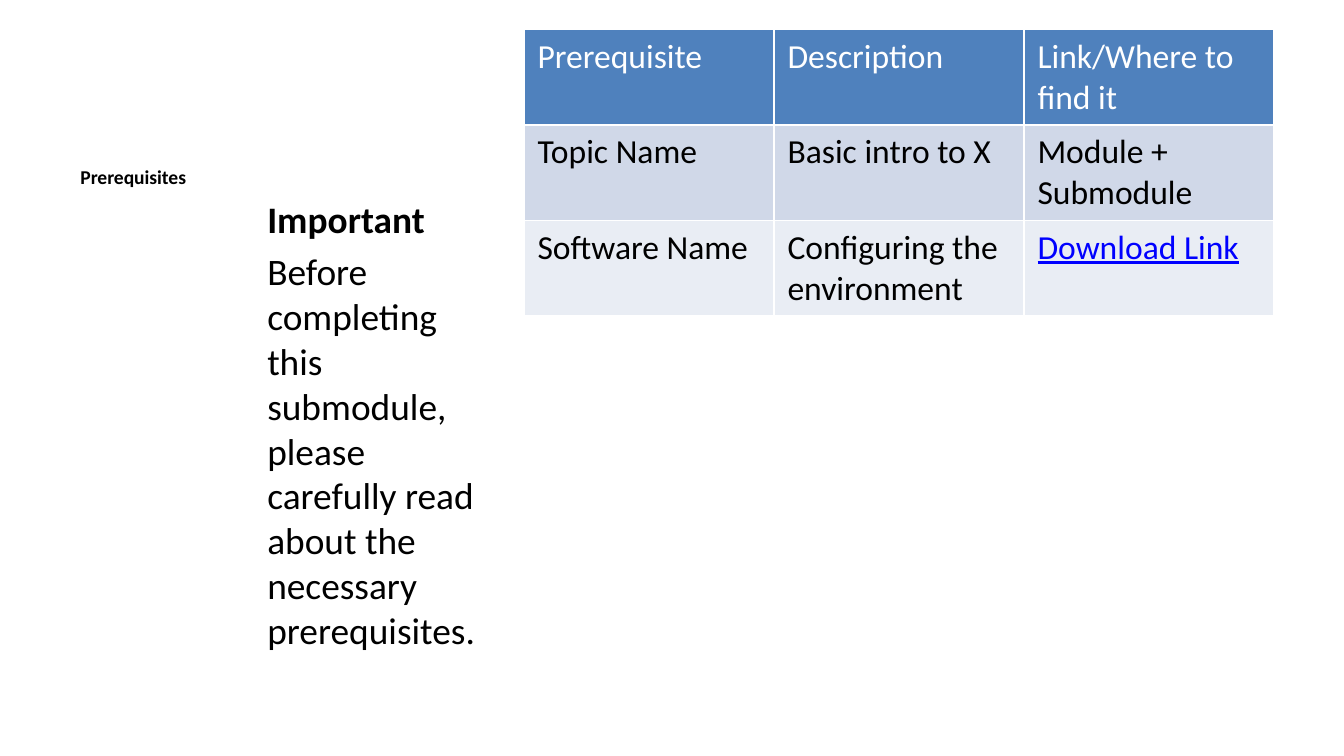
from dataclasses import dataclass

from lxml.etree import SubElement
from pptx import Presentation
from pptx.dml.color import RGBColor as Rgb
from pptx.oxml.ns import qn
from pptx.util import Inches, Pt

TITLE = "Prerequisites"
NOTICE = [
    ("Important", True),
    ("Before completing this submodule, please carefully read about the "
     "necessary prerequisites.", False),
]
PREREQUISITES = [
    ["Prerequisite", "Description", "Link/Where to find it"],
    ["Topic Name", "Basic intro to X", "Module + Submodule"],
    ["Software Name", "Configuring the environment", "Download Link"],
]
LINK = "Download Link"


@dataclass(frozen=True)
class Theme:
    font: str = "Calibri"
    text: str = "000000"
    light: str = "FFFFFF"
    link: str = "0000FF"
    row_fills: tuple = ("4F81BD", "D0D8E8", "E9EDF4")
    title_size: float = 10.5
    notice_size: float = 20
    cell_size: float = 18
    border: float = 1


THEME = Theme()
SLIDE_W = 10
SLIDE_H = SLIDE_W * 9 / 16
INTRO_BOX = (0.5, 1.18, 3.29, 3.85)
NOTICE_INDENT = 1.39
TABLE_LEFT, TABLE_TOP = 3.9, 0.22
COLUMN_W, ROW_H = 1.86, 0.71


def add_run(paragraph, text, size, color=THEME.text, bold=False):
    run = paragraph.add_run()
    run.text = text
    font = run.font
    font.name, font.size, font.bold = THEME.font, Pt(size), bold
    font.color.rgb = Rgb.from_string(color)
    return run


def add_borders(cell):
    properties = cell._tc.get_or_add_tcPr()
    for side in "LRTB":
        line = SubElement(properties, qn(f"a:ln{side}"), w=str(Pt(THEME.border)))
        fill = SubElement(line, qn("a:solidFill"))
        SubElement(fill, qn("a:srgbClr"), val=THEME.light)


def add_intro(slide):
    frame = slide.shapes.add_textbox(*map(Inches, INTRO_BOX)).text_frame
    frame.word_wrap = True
    title = frame.paragraphs[0]
    title.space_before = Pt(30)
    add_run(title, TITLE, THEME.title_size, bold=True)
    for text, bold in NOTICE:
        notice = frame.add_paragraph()
        notice.space_before = Pt(0.2 * THEME.notice_size)
        indent = notice._p.get_or_add_pPr()
        indent.set("marL", str(Inches(NOTICE_INDENT)))
        indent.set("indent", "0")
        add_run(notice, text, THEME.notice_size, bold=bold)


def add_prerequisites(slide):
    rows, columns = len(PREREQUISITES), len(PREREQUISITES[0])
    place = (TABLE_LEFT, TABLE_TOP, columns * COLUMN_W, rows * ROW_H)
    table = slide.shapes.add_table(rows, columns, *map(Inches, place)).table
    for r, (entries, row_fill) in enumerate(zip(PREREQUISITES, THEME.row_fills)):
        for c, entry in enumerate(entries):
            cell = table.cell(r, c)
            add_borders(cell)
            cell.fill.solid()
            cell.fill.fore_color.rgb = Rgb.from_string(row_fill)
            is_link = entry == LINK
            color = THEME.light if r == 0 else THEME.link if is_link else THEME.text
            run = add_run(cell.text_frame.paragraphs[0], entry, THEME.cell_size, color)
            if is_link:
                run.font.underline = True


def main():
    deck = Presentation()
    deck.slide_width, deck.slide_height = Inches(SLIDE_W), Inches(SLIDE_H)
    slide = deck.slides.add_slide(deck.slide_layouts[6])
    add_intro(slide)
    add_prerequisites(slide)
    deck.save("out.pptx")


if __name__ == "__main__":
    main()
